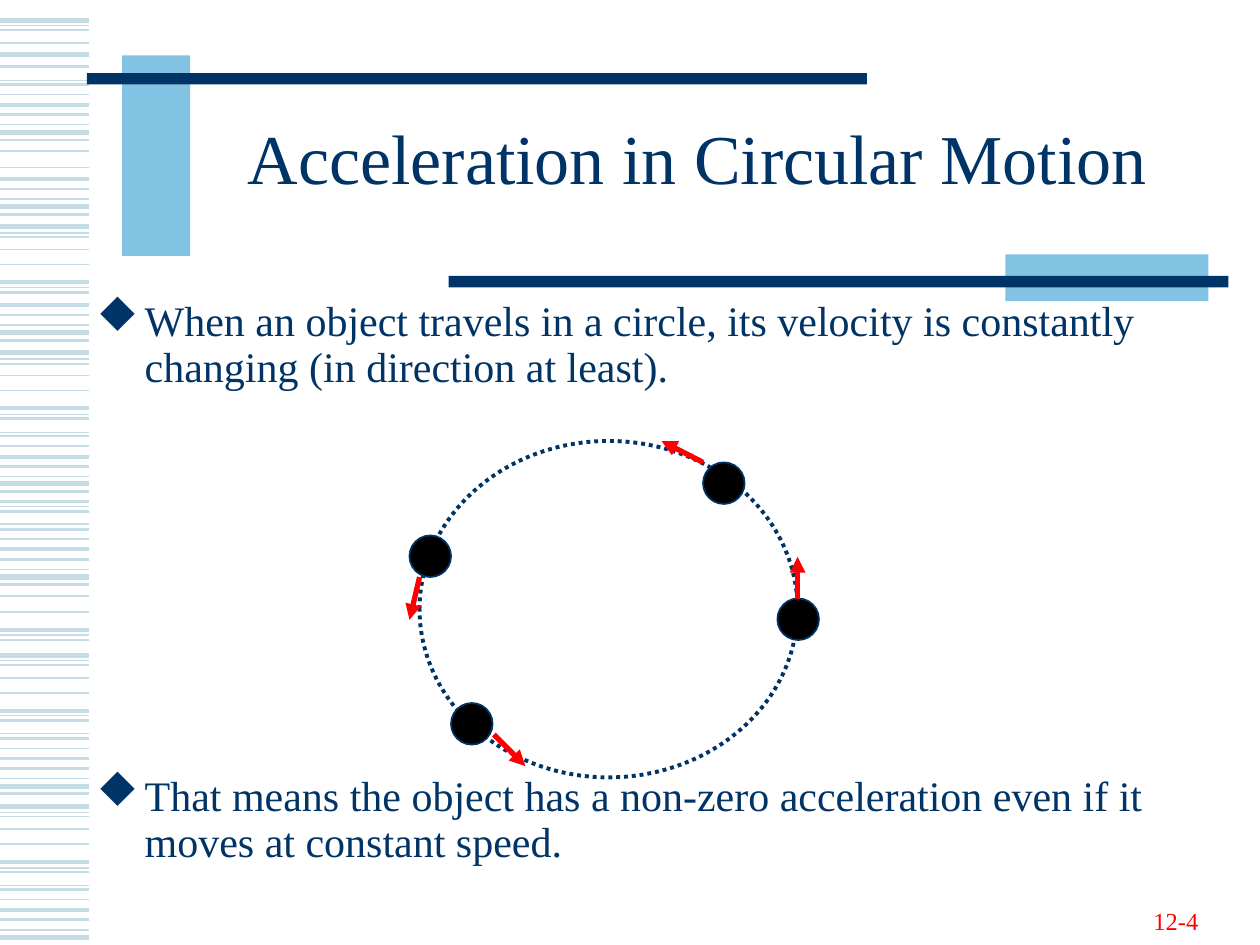
from dataclasses import dataclass

from pptx import Presentation, util as u
from pptx.dml.color import RGBColor
from pptx.enum import dml, shapes, text
from pptx.oxml import ns
from lxml import etree

EMU_PER_PX = 9144  # 100 px to the inch
FONT = "Times New Roman"
BULLET_FONT = "Wingdings"
BULLET_DIAMOND = "u"  # solid diamond in the symbol font
NAVY = RGBColor(0x00, 0x33, 0x66)
SKY = RGBColor(0x82, 0xC3, 0xE4)
PALE = RGBColor(0xC6, 0xDC, 0xE4)
RED = RGBColor(0xFF, 0x00, 0x00)
BLACK = RGBColor(0x00, 0x00, 0x00)

STRIPE_LENGTH = 71
BALL_SIZE = 33
# Heights of the side stripes, by line width in points
STRIPES = {
    0.75: [20, 64, 99, 158, 185, 228, 258, 285, 329, 343, 378, 402, 416, 452,
           504, 524, 568, 582, 618, 645, 689, 703, 738],
    1: [24, 34, 75, 120, 133, 188, 198, 210, 289, 298, 310, 354, 428, 473,
        486, 528, 538, 550, 594, 648, 658, 670, 714],
    1.5: [53, 67, 91, 111, 150, 170, 232, 250, 270, 332, 346, 370, 390, 406,
          420, 444, 464, 508, 572, 586, 610, 630, 692, 706, 730],
    2.25: [83, 142, 224, 242, 324, 363, 398, 436, 500, 564, 602, 684, 722],
    3: [16, 43, 105, 164, 180, 264, 280, 384, 458, 520, 624, 640, 744],
}


@dataclass(frozen=True)
class Box:
    left: int
    top: int
    width: int
    height: int


@dataclass(frozen=True)
class Bar:
    box: Box
    color: RGBColor


@dataclass(frozen=True)
class Segment:
    x1: int
    y1: int
    x2: int
    y2: int


BARS = [
    Bar(Box(97, 44, 54, 159), SKY),
    Bar(Box(69, 58, 619, 9), NAVY),
    Bar(Box(798, 202, 161, 37), SKY),
    Bar(Box(356, 219, 619, 9), NAVY),
]
BALLS = [(325, 425), (558, 367), (617, 475), (358, 558)]
VELOCITIES = [
    Segment(392, 583, 417, 608),
    Segment(333, 458, 325, 492),
    Segment(633, 475, 633, 442),
    Segment(558, 367, 525, 350),
]
POINTS = [
    "When an object travels in a circle, its velocity is constantly changing "
    "(in direction at least).",
    "That means the object has a non-zero acceleration even if it moves at "
    "constant speed.",
]


def px(value: int) -> u.Emu:
    return u.Emu(value * EMU_PER_PX)


def place(box: Box) -> tuple:
    return px(box.left), px(box.top), px(box.width), px(box.height)


def add_line(slide, segment: Segment, color: RGBColor, width: float,
             arrow: bool = False) -> None:
    ends = (px(v) for v in (segment.x1, segment.y1, segment.x2, segment.y2))
    connector = slide.shapes.add_connector(shapes.MSO_CONNECTOR.STRAIGHT, *ends)
    connector.line.color.rgb = color
    connector.line.width = u.Pt(width)
    properties = connector._element.spPr
    if arrow:
        outline = properties.find(ns.qn("a:ln"))
        etree.SubElement(outline, ns.qn("a:tailEnd"), type="triangle")
    etree.SubElement(properties, ns.qn("a:effectLst"))


def add_shape(slide, kind, box: Box, fill: RGBColor | None = None,
              line: RGBColor | None = None, width: float = 1):
    shape = slide.shapes.add_shape(kind, *place(box))
    shape.shadow.inherit = False
    if fill is None:
        shape.fill.background()
    else:
        shape.fill.solid()
        shape.fill.fore_color.rgb = fill
    if line is None:
        shape.line.fill.background()
    else:
        shape.line.color.rgb = line
        shape.line.width = u.Pt(width)
    return shape


def add_text_box(slide, box: Box, anchor):
    frame = slide.shapes.add_textbox(*place(box)).text_frame
    frame.word_wrap = True
    frame.vertical_anchor = anchor
    return frame


def style(paragraph, size: int, color: RGBColor) -> None:
    for run in paragraph.runs:
        run.font.name = FONT
        run.font.size = u.Pt(size)
        run.font.color.rgb = color


def add_bullet(paragraph) -> None:
    properties = paragraph._p.get_or_add_pPr()
    properties.set("marL", str(px(38)))
    properties.set("indent", str(px(-38)))
    color = etree.SubElement(properties, ns.qn("a:buClr"))
    etree.SubElement(color, ns.qn("a:srgbClr"), val=str(NAVY))
    etree.SubElement(properties, ns.qn("a:buFont"), typeface=BULLET_FONT,
                     pitchFamily="2", charset="2")
    etree.SubElement(properties, ns.qn("a:buChar"), char=BULLET_DIAMOND)


def add_title(slide) -> None:
    title = slide.shapes.title
    title.left, title.top, title.width, title.height = place(Box(150, 67, 807, 125))
    frame = title.text_frame
    frame.text = "Acceleration in Circular Motion"
    frame.auto_size = text.MSO_AUTO_SIZE.NONE
    frame.vertical_anchor = text.MSO_ANCHOR.MIDDLE
    paragraph = frame.paragraphs[0]
    paragraph.alignment = text.PP_ALIGN.CENTER
    paragraph.line_spacing = 0.85
    style(paragraph, 40, NAVY)


def add_points(slide) -> None:
    frame = add_text_box(slide, Box(67, 232, 895, 217), text.MSO_ANCHOR.TOP)
    frame.text = "\n".join(POINTS)
    for paragraph in frame.paragraphs:
        add_bullet(paragraph)
        paragraph.line_spacing = u.Pt(26.4)
        style(paragraph, 24, NAVY)
    # Room for the diagram between the two points
    frame.paragraphs[1].space_before = u.Pt(218.5)


def add_diagram(slide) -> None:
    oval = shapes.MSO_SHAPE.OVAL
    orbit = add_shape(slide, oval, Box(333, 350, 300, 267), line=NAVY, width=2.25)
    orbit.line.dash_style = dml.MSO_LINE.ROUND_DOT
    for left, top in BALLS:
        add_shape(slide, oval, Box(left, top, BALL_SIZE, BALL_SIZE), BLACK, NAVY)
    for velocity in VELOCITIES:
        add_line(slide, velocity, RED, 3, arrow=True)


def add_page_number(slide) -> None:
    frame = add_text_box(slide, Box(721, 697, 240, 50), text.MSO_ANCHOR.BOTTOM)
    frame.text = "12-4"
    frame.paragraphs[0].alignment = text.PP_ALIGN.RIGHT
    style(frame.paragraphs[0], 14, RED)


def main() -> None:
    presentation = Presentation()
    presentation.slide_width, presentation.slide_height = px(1000), px(750)
    slide = presentation.slides.add_slide(presentation.slide_layouts[5])

    # Side stripes and accent bars
    for width, heights in STRIPES.items():
        for y in heights:
            add_line(slide, Segment(0, y, STRIPE_LENGTH, y), PALE, width)
    for bar in BARS:
        add_shape(slide, shapes.MSO_SHAPE.RECTANGLE, bar.box, bar.color)

    # Content
    add_page_number(slide)
    add_title(slide)
    add_diagram(slide)
    add_points(slide)
    presentation.save("out.pptx")


if __name__ == "__main__":
    main()
